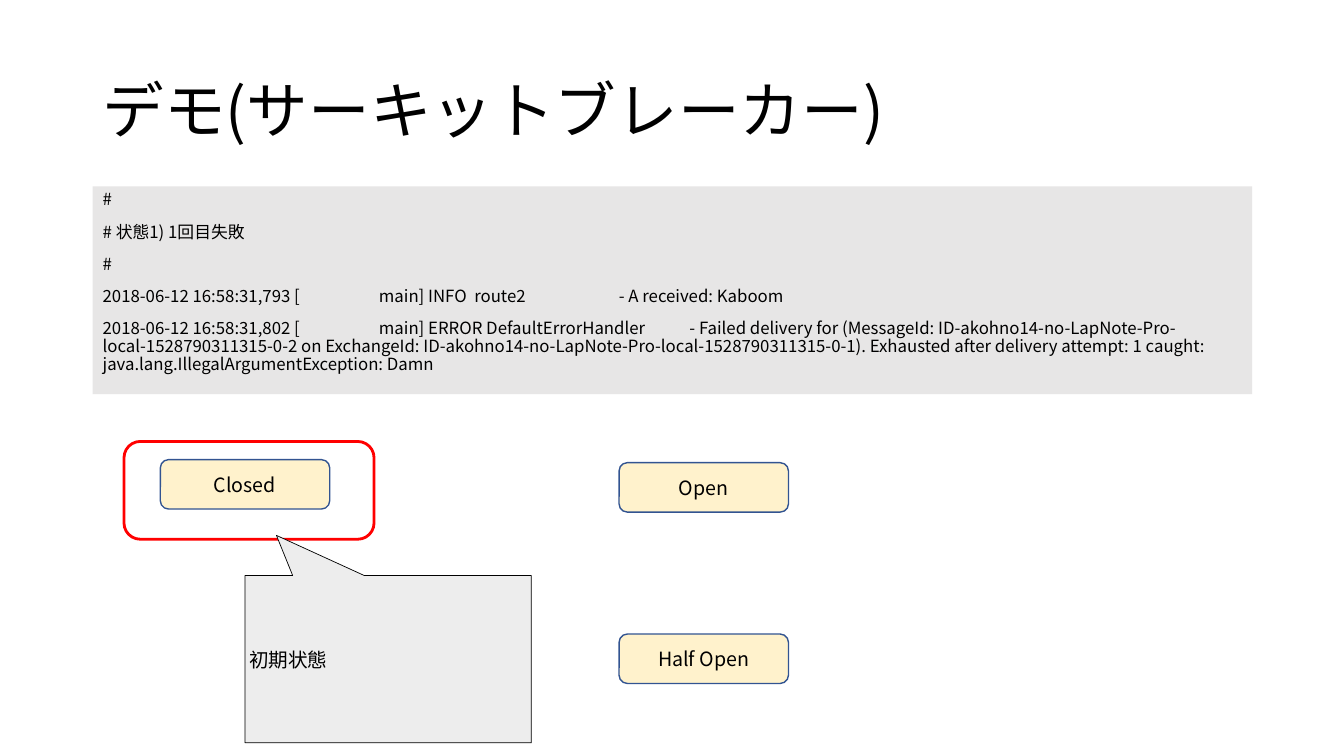
from pptx import Presentation
from pptx.dml.color import RGBColor
from pptx.enum.shapes import MSO_SHAPE as Preset
from pptx.enum.text import MSO_ANCHOR as Anchor, PP_ALIGN as Align
from pptx.oxml.ns import qn
from pptx.util import Inches, Pt
from lxml.etree import SubElement

FONT = "Noto Sans CJK JP"
HOST = "ID-akohno14-no-LapNote-Pro-local-1528790311315-0-"
# Each log line with its tab stops in inches
LOG = [
    ("#", []),
    ("# 状態1) 1回目失敗", []),
    ("#", []),
    ("2018-06-12 16:58:31,793 [\tmain] INFO  route2\t- A received: Kaboom",
     [2.74, 5.12]),
    ("2018-06-12 16:58:31,802 [\tmain] ERROR DefaultErrorHandler\t"
     f"- Failed delivery for (MessageId: {HOST}2 on ExchangeId: {HOST}1). "
     "Exhausted after delivery attempt: 1 caught: "
     "java.lang.IllegalArgumentException: Damn", [2.74, 5.82]),
]


def color(hex_code):
    return RGBColor.from_string(hex_code)


def add_text(paragraph, text, size):
    run = paragraph.add_run()
    run.text = text
    run.font.size = Pt(size)
    run.font.name = FONT
    run.font.color.rgb = color("000000")
    SubElement(run.font._element, qn("a:ea"), typeface=FONT)


def add_box(slide, preset, box, fill=None, line=None, weight=1):
    shape = slide.shapes.add_shape(preset, *map(Inches, box))
    shape.shadow.inherit = False
    if fill:
        shape.fill.solid()
        shape.fill.fore_color.rgb = color(fill)
    else:
        shape.fill.background()
    if line:
        shape.line.color.rgb = color(line)
        shape.line.width = Pt(weight)
    else:
        shape.line.fill.background()
    shape.text_frame.word_wrap = True
    return shape


def add_title(slide, box):
    frame = slide.shapes.add_textbox(*map(Inches, box)).text_frame
    frame.word_wrap = True
    frame.vertical_anchor = Anchor.MIDDLE
    heading = frame.paragraphs[0]
    heading.line_spacing = 0.9
    add_text(heading, "デモ(サーキットブレーカー)", 44)


def add_log(slide, box):
    frame = add_box(slide, Preset.RECTANGLE, box, "E7E6E6").text_frame
    frame.vertical_anchor = Anchor.TOP
    for index, (entry, stops) in enumerate(LOG):
        line = frame.add_paragraph() if index else frame.paragraphs[0]
        line.alignment = Align.LEFT
        line.line_spacing = 0.9
        line.space_before = Pt(10)
        if stops:
            tabs = SubElement(line._p.get_or_add_pPr(), qn("a:tabLst"))
            for stop in stops:
                SubElement(tabs, qn("a:tab"), pos=str(Inches(stop)), algn="l")
        add_text(line, entry, 12)


def add_state(slide, left, top, label):
    state = add_box(slide, Preset.ROUNDED_RECTANGLE, (left, top, 1.68, 0.49),
                    "FFF2CC", "325491")
    frame = state.text_frame
    frame.vertical_anchor = Anchor.MIDDLE
    frame.paragraphs[0].alignment = Align.CENTER
    add_text(frame.paragraphs[0], label, 14)


def add_callout(slide, box, text):
    callout = add_box(slide, Preset.RECTANGULAR_CALLOUT, box,
                      "EDEDED", "000000", 0.5)
    callout.adjustments[0] = -0.39
    callout.adjustments[1] = -0.74
    frame = callout.text_frame
    frame.vertical_anchor = Anchor.MIDDLE
    frame.margin_left = frame.margin_right = Inches(0.04)
    frame.margin_top = frame.margin_bottom = Inches(0.04)
    frame.paragraphs[0].alignment = Align.LEFT
    add_text(frame.paragraphs[0], text, 14)


def add_state_diagram(slide, left, top):
    # Circuit breaker states
    for dx, dy, label in [(0.36, 0.18, "Closed"), (4.91, 0.21, "Open"),
                          (4.91, 1.91, "Half Open")]:
        add_state(slide, left + dx, top + dy, label)
    # Frame around the current state, and its note
    add_box(slide, Preset.ROUNDED_RECTANGLE, (left, top, 2.48, 0.97),
            line="FF0000", weight=2)
    add_callout(slide, (left + 1.2, top + 1.33, 2.84, 1.66), "初期状態")


deck = Presentation()
deck.slide_width, deck.slide_height = Inches(13.33), Inches(7.5)
demo = deck.slides.add_slide(deck.slide_layouts[6])
add_title(demo, (0.92, 0.4, 11.5, 1.45))
add_log(demo, (0.92, 1.85, 11.5, 2.06))
add_state_diagram(demo, 1.23, 4.38)
deck.save("out.pptx")
